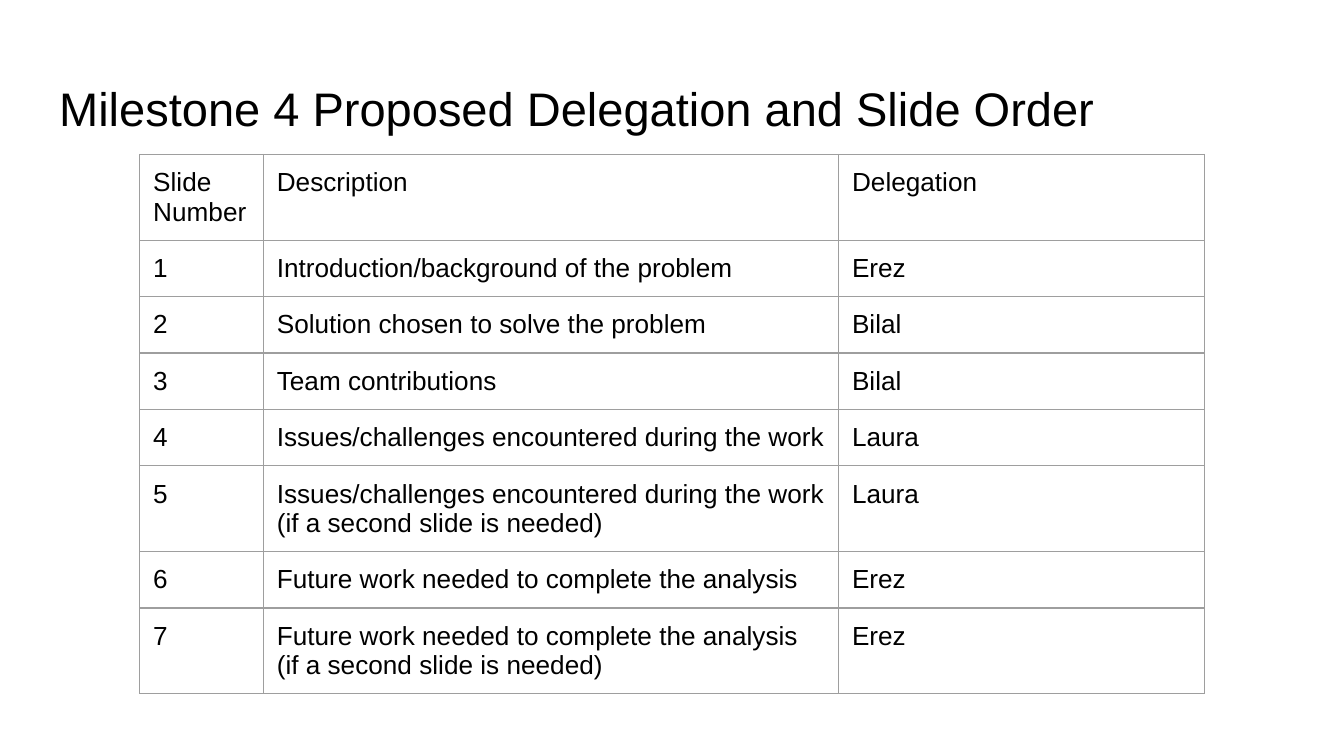
from dataclasses import dataclass
from lxml.etree import SubElement
from pptx import Presentation
from pptx.dml.color import RGBColor
from pptx.enum.text import MSO_ANCHOR, MSO_AUTO_SIZE, PP_ALIGN
from pptx.oxml.ns import qn
from pptx.util import Inches, Pt

TITLE = "Milestone 4 Proposed Delegation and Slide Order"
HEAD = ("Slide Number", "Description", "Delegation")
ISSUE = "Issues/challenges encountered during the work"
FUTURE = "Future work needed to complete the analysis"
EXTRA = "(if a second slide is needed)"
TASKS = [
    (["Introduction/background of the problem"], "Erez"),
    (["Solution chosen to solve the problem"], "Bilal"),
    (["Team contributions"], "Bilal"),
    ([ISSUE], "Laura"),
    ([f"{ISSUE} {EXTRA}"], "Laura"),
    ([FUTURE], "Erez"),
    ([FUTURE, EXTRA], "Erez"),
]
COLS = (0.92, 4.28, 2.72)
ROW = 0.42


@dataclass(frozen=True)
class Theme:
    font: str = "Arial"
    ink: str = "000000"
    rule: str = "9E9E9E"
    title: float = 25.2
    body: float = 14
    line: float = 0.75
    pad: float = 0.1


theme = Theme()


def write(frame, lines, size):
    for num, line in enumerate(lines):
        para = frame.add_paragraph() if num else frame.paragraphs[0]
        para.alignment = PP_ALIGN.LEFT
        para.line_spacing = 1.0
        para.space_before = Pt(0)
        run = para.add_run()
        run.text = line
        run.font.name = theme.font
        run.font.size = Pt(size)
        run.font.bold = False
        run.font.color.rgb = RGBColor.from_string(theme.ink)


def inset(box):
    box.margin_left = box.margin_right = Inches(theme.pad)
    box.margin_top = box.margin_bottom = Inches(theme.pad)
    box.vertical_anchor = MSO_ANCHOR.TOP


def border(cell):
    props = cell._tc.get_or_add_tcPr()
    for side in ("lnL", "lnR", "lnT", "lnB"):
        line = SubElement(props, qn(f"a:{side}"), w=str(Pt(theme.line)))
        fill = SubElement(line, qn("a:solidFill"))
        SubElement(fill, qn("a:srgbClr"), val=theme.rule)


deck = Presentation()
deck.slide_width = Inches(10)
deck.slide_height = deck.slide_width * 9 // 16
slide = deck.slides.add_slide(deck.slide_layouts[5])

title = slide.shapes.title
title.left, title.top = Inches(0.34), Inches(0.49)
title.width, title.height = Inches(9.32), Inches(0.63)
frame = title.text_frame
frame.auto_size = MSO_AUTO_SIZE.NONE
frame.word_wrap = True
inset(frame)
write(frame, [TITLE], theme.title)

rows = [[[name] for name in HEAD]]
rows += [[[str(num)], work, [who]] for num, (work, who) in enumerate(TASKS, 1)]
table = slide.shapes.add_table(
    len(rows), len(COLS), Inches(1.04), Inches(1.15),
    Inches(sum(COLS)), Inches(ROW * len(rows))).table
table.first_row = table.horz_banding = False
for col, width in zip(table.columns, COLS):
    col.width = Inches(width)
for row, texts in zip(table.rows, rows):
    row.height = Inches(ROW)
    for cell, lines in zip(row.cells, texts):
        inset(cell)
        border(cell)
        cell.fill.background()
        write(cell.text_frame, lines, theme.body)

deck.save("out.pptx")
